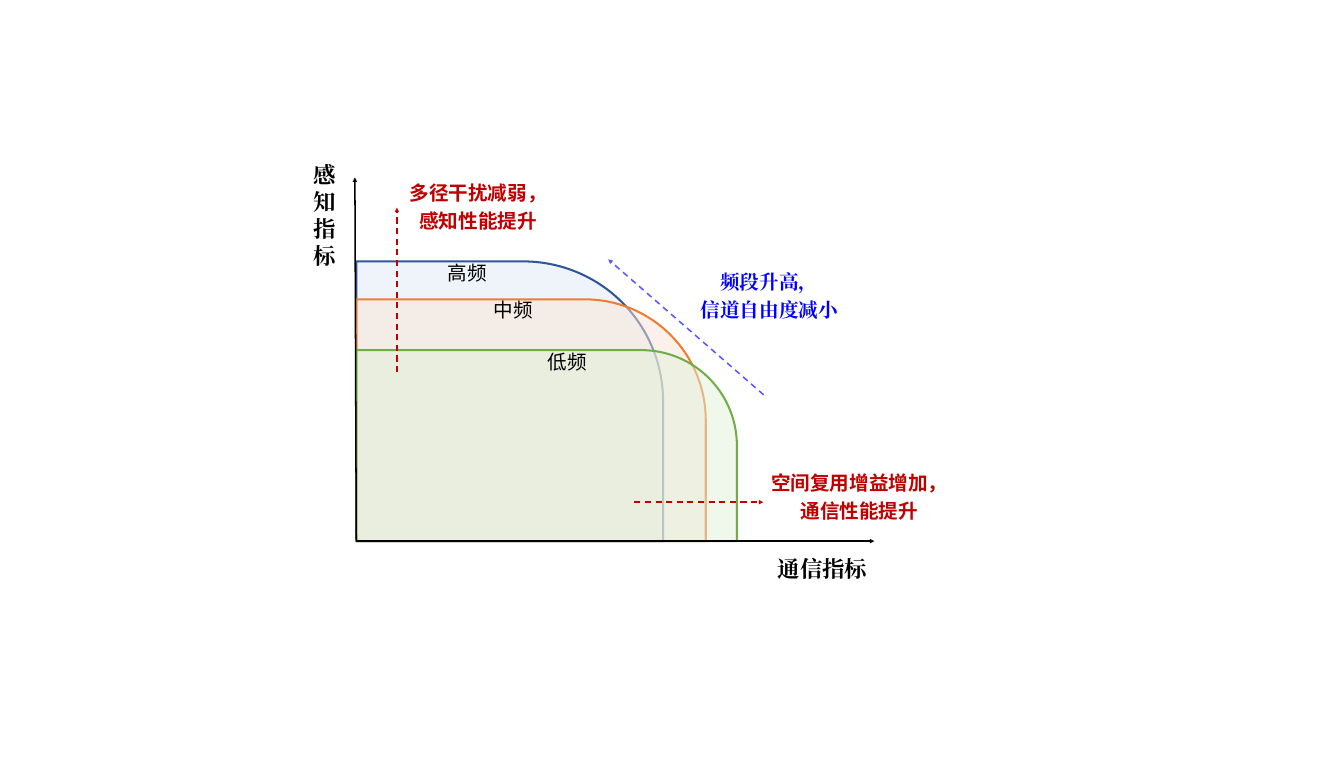
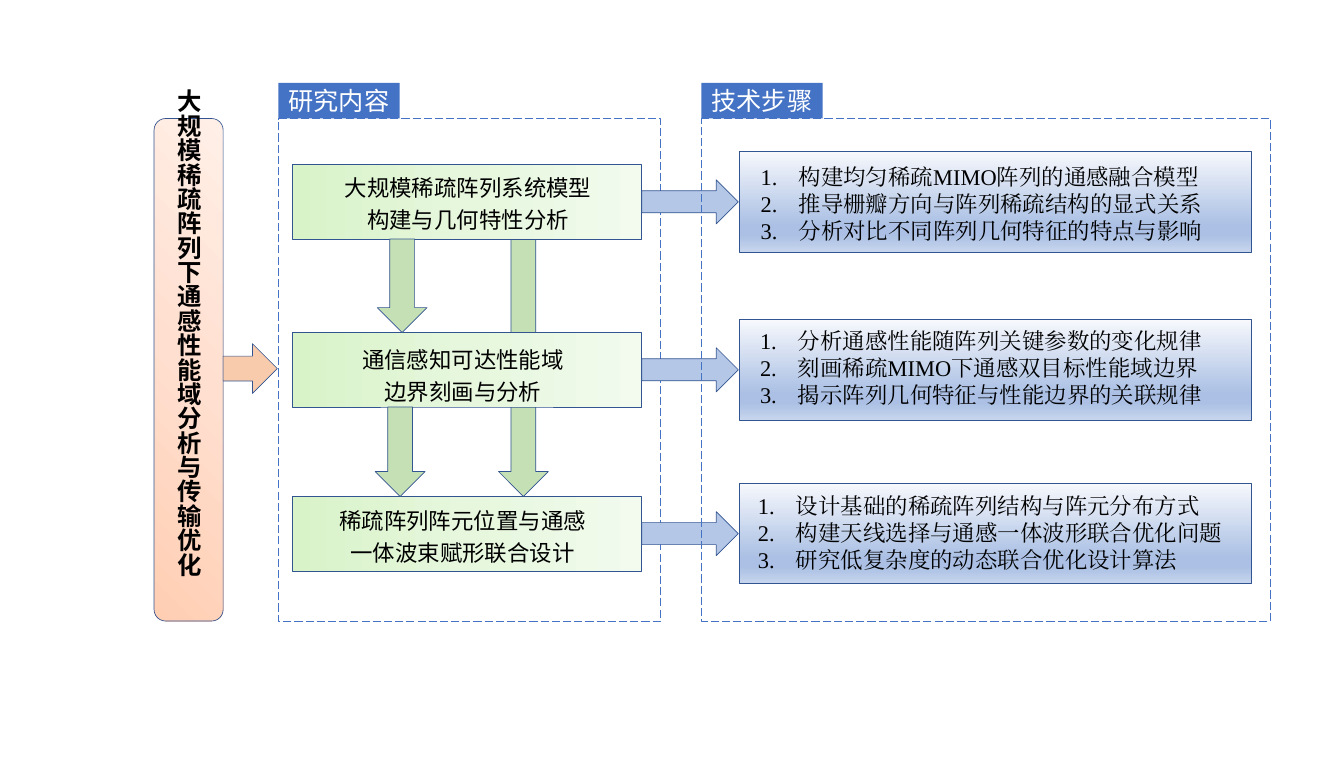
from collections import namedtuple

from lxml import etree
from pptx import Presentation
from pptx.dml.color import RGBColor
from pptx.enum.dml import MSO_LINE
from pptx.enum.shapes import MSO_CONNECTOR, MSO_SHAPE
from pptx.enum.text import MSO_ANCHOR, MSO_AUTO_SIZE, PP_ALIGN
from pptx.oxml.ns import qn
from pptx.util import Pt

Box = namedtuple("Box", "left top width height")

STRAIGHT = MSO_CONNECTOR.STRAIGHT
DASH, LONG_DASH = MSO_LINE.DASH, MSO_LINE.LONG_DASH
RECT, ROUND_RECT = MSO_SHAPE.RECTANGLE, MSO_SHAPE.ROUNDED_RECTANGLE
ONE_ROUND, PROCESS = MSO_SHAPE.ROUND_1_RECTANGLE, MSO_SHAPE.FLOWCHART_PROCESS
RIGHT_ARROW, DOWN_ARROW = MSO_SHAPE.RIGHT_ARROW, MSO_SHAPE.DOWN_ARROW
CENTER, MIDDLE, TOP = PP_ALIGN.CENTER, MSO_ANCHOR.MIDDLE, MSO_ANCHOR.TOP
GROW, FIXED = MSO_AUTO_SIZE.SHAPE_TO_FIT_TEXT, MSO_AUTO_SIZE.NONE

SANS, SERIF = "Noto Sans CJK SC", "Times New Roman"
BLACK, WHITE = RGBColor(0, 0, 0), RGBColor(255, 255, 255)
RED, BLUE = RGBColor(0xC0, 0, 0), RGBColor(0, 0, 0xFF)
LIGHT_BLUE = RGBColor(0x57, 0x57, 0xFF)
OUTLINE, ACCENT = RGBColor(0x32, 0x54, 0x91), RGBColor(0x44, 0x72, 0xC4)
PEACH, LEAF = RGBColor(0xF8, 0xCB, 0xAD), RGBColor(0xC5, 0xE0, 0xB4)
SKY = RGBColor(0xB4, 0xC7, 0xE7)
HIGH_FILL, HIGH_LINE = RGBColor(0xDE, 0xEB, 0xF7), RGBColor(0x2F, 0x55, 0x97)
MID_FILL, MID_LINE = RGBColor(0xFB, 0xE5, 0xD6), RGBColor(0xED, 0x7D, 0x31)
LOW_FILL, LOW_LINE = RGBColor(0xE2, 0xF0, 0xD9), RGBColor(0x70, 0xAD, 0x47)
TOPIC_STOPS = ((0, RGBColor(0xFF, 0xCE, 0xB3)), (50, RGBColor(0xFF, 0xDF, 0xCF)),
               (100, RGBColor(0xFF, 0xEF, 0xE7)))
CONTENT_STOPS = ((0, RGBColor(0xD9, 0xF3, 0xC9)), (50, RGBColor(0xE6, 0xF7, 0xDD)),
                 (100, RGBColor(0xF2, 0xFB, 0xEE)))
STEP_STOPS = ((0, RGBColor(0xF6, 0xF8, 0xFC)), (74, RGBColor(0xAB, 0xC0, 0xE4)),
              (83, RGBColor(0xAB, 0xC0, 0xE4)), (100, RGBColor(0xC7, 0xD5, 0xED)))

AXIS_LABEL = {"size": Pt(33.1), "name": SERIF, "bold": True}
CURVE_LABEL = {"size": Pt(28.9), "name": SANS}
NOTE = {"size": Pt(28.9), "name": SANS, "bold": True}
TREND = {"size": Pt(29), "name": SERIF, "bold": True}
TOPIC = {"size": Pt(36), "name": SANS, "bold": True}
HEADING = {"size": Pt(37.2), "name": SANS}
CONTENT = {"size": Pt(33.1), "name": SANS}
STEP = {"size": Pt(33.1), "name": SERIF}
SPACED = {"alignment": CENTER, "line_spacing": 1.2}
LIST_INDENT = 56

CURVES = (
    (453, 413, HIGH_FILL, HIGH_LINE),
    (516, 357, MID_FILL, MID_LINE),
    (562, 282, LOW_FILL, LOW_LINE),
)
PLOT_LABELS = (
    (Box(615, 554, 150, 47.5), ["通信指标"], AXIS_LABEL, BLACK, {}),
    (Box(-70, -27, 34, 168), ["感知指标"], AXIS_LABEL, BLACK, {}),
    (Box(71.5, -5, 217, 86), ["多径干扰减弱，感知性能提升"], NOTE, RED, SPACED),
    (Box(603, 422.5, 279.5, 86), ["空间复用增益增加，通信性能提升"], NOTE, RED, SPACED),
    (Box(482, 126, 256, 88), ["频段升高，", "信道自由度减小"], TREND, BLUE, SPACED),
    (Box(128, 120, 87, 42.5), ["高频"], CURVE_LABEL, BLACK, {}),
    (Box(195.5, 175, 81.5, 42.5), ["中频"], CURVE_LABEL, BLACK, {}),
    (Box(275.5, 250.5, 81.5, 42.5), ["低频"], CURVE_LABEL, BLACK, {}),
)
PLOT_ARROWS = (
    ((60, 287.5), (60, 44.5), RED),
    ((410.5, 479.5), (601, 479.5), RED),
    ((601.5, 321), (372, 121), LIGHT_BLUE),
)

ROW_CENTERS = (123, 371, 613)
CONTENT_SIZE, STEP_SIZE = (516, 110), (757, 148)
CONTENTS = (
    (1.5, -52.5, ["大规模稀疏阵列系统模型", "构建与几何特性分析"]),
    (-6, -47, ["通信感知可达性能域", "边界刻画与分析"]),
    (-6.5, -50.5, ["稀疏阵列阵元位置与通感", "一体波束赋形联合设计"]),
)
STEPS = (
    (25, -61, ["构建均匀稀疏MIMO阵列的通感融合模型", "推导栅瓣方向与阵列稀疏结构的显式关系",
               "分析对比不同阵列几何特征的特点与影响"]),
    (24, -67, ["分析通感性能随阵列关键参数的变化规律", "刻画稀疏MIMO下通感双目标性能域边界",
               "揭示阵列几何特征与性能边界的关联规律"]),
    (21, -64.5, ["设计基础的稀疏阵列结构与阵元分布方式", "构建天线选择与通感一体波形联合优化问题",
                 "研究低复杂度的动态联合优化设计算法"]),
)


def apply(target, values):
    """Set each attribute of the target from a dict."""
    for name, value in values.items():
        setattr(target, name, value)


def shift(box, area):
    """Move a box from coordinates inside an area to the page."""
    return box._replace(left=area.left + box.left, top=area.top + box.top)


def set_gradient(shape, stops, angle=None):
    """Fill a shape with a linear gradient, or a radial one from its lower left."""
    shape.fill.gradient()
    gradient = shape._element.spPr.find(qn("a:gradFill"))
    for child in list(gradient):
        gradient.remove(child)
    stop_list = etree.SubElement(gradient, qn("a:gsLst"))
    for place, color in stops:
        stop = etree.SubElement(stop_list, qn("a:gs"), pos=str(place * 1000))
        etree.SubElement(stop, qn("a:srgbClr"), val=str(color))
    if angle is None:
        radial = etree.SubElement(gradient, qn("a:path"), path="circle")
        etree.SubElement(radial, qn("a:fillToRect"), t="100000", r="100000")
    else:
        etree.SubElement(gradient, qn("a:lin"), ang=str(angle * 60000), scaled="0")


def add_shape(page, kind, box, fill=None, line=OUTLINE, width=1):
    """Add a flat preset shape."""
    shape = page.shapes.add_shape(kind, *map(Pt, box))
    shape.shadow.inherit = False
    if fill is None:
        shape.fill.background()
    else:
        shape.fill.solid()
        shape.fill.fore_color.rgb = fill
    if line is None:
        shape.line.fill.background()
    else:
        shape.line.width = Pt(width)
        shape.line.color.rgb = line
    return shape


def add_arrow(page, start, end, color, dash=None):
    """Add a straight line with an arrowhead at its end."""
    arrow = page.shapes.add_connector(STRAIGHT, *map(Pt, start + end))
    arrow.line.width = Pt(2.25)
    arrow.line.color.rgb = color
    if dash is not None:
        arrow.line.dash_style = dash
    etree.SubElement(arrow.line._get_or_add_ln(), qn("a:tailEnd"), type="triangle")
    etree.SubElement(arrow._element.spPr, qn("a:effectLst"))


def write(shape, lines, font, color, layout, anchor=TOP, size_rule=GROW):
    """Write one paragraph per line and return the paragraphs."""
    frame = shape.text_frame
    apply(frame, {"word_wrap": True, "auto_size": size_rule, "vertical_anchor": anchor})
    for index, line in enumerate(lines):
        para = frame.add_paragraph() if index else frame.paragraphs[0]
        apply(para, layout)
        span = para.add_run()
        span.text = line
        apply(span.font, font)
        span.font.color.rgb = color
        etree.SubElement(span._r.get_or_add_rPr(), qn("a:ea"), typeface=font["name"])
    return frame.paragraphs


def add_text(page, box, *text):
    """Add a text box and return its paragraphs."""
    return write(page.shapes.add_textbox(*map(Pt, box)), *text)


def draw_plot(page, area):
    """Draw the axes, the three frequency regions and their notes."""
    for width, height, fill, line in CURVES:
        box = Box(area.left, area.top + area.height - height, width, height)
        region = add_shape(page, ONE_ROUND, box, fill, line, 3)
        region.adjustments[0] = 0.5
        color = region._element.spPr.find(qn("a:solidFill"))[0]
        etree.SubElement(color, qn("a:alpha"), val="50000")
    origin = (area.left, area.top + area.height)
    add_arrow(page, origin, (area.left + area.width, origin[1]), BLACK)
    add_arrow(page, origin, (area.left - 2, area.top), BLACK)
    for start, end, color in PLOT_ARROWS:
        points = [(area.left + x, area.top + y) for x, y in (start, end)]
        add_arrow(page, *points, color, DASH)
    for box, lines, font, color, layout in PLOT_LABELS:
        add_text(page, shift(box, area), lines, font, color, layout)


def draw_topic(page, area):
    """Draw the vertical topic bar and the arrow that leaves it."""
    set_gradient(add_shape(page, ROUND_RECT, area), TOPIC_STOPS)
    label = page.shapes.add_textbox(*map(Pt, shift(Box(22.5, -50, 58, 845), area)))
    write(label, ["大规模稀疏阵列下通感性能域分析与传输优化"], TOPIC, BLACK,
          {"alignment": CENTER}, MIDDLE)
    label.text_frame._txBody.bodyPr.set("vert", "eaVert")
    add_shape(page, RIGHT_ARROW, shift(Box(area.width, 332.5, 80, 73.5), area), PEACH)


def draw_frame(page, area, heading):
    """Draw a dashed frame with a heading tab on top."""
    frame = add_shape(page, PROCESS, area, None, ACCENT, 1.5)
    frame.line.dash_style = LONG_DASH
    tab = add_shape(page, RECT, shift(Box(0, -52.5, 179, 52.5), area), ACCENT, None)
    write(tab, [heading], HEADING, WHITE, {"alignment": CENTER}, MIDDLE, FIXED)


def draw_down_arrow(page, area, left, first, last):
    """Draw an arrow from one content row down to another."""
    top = ROW_CENTERS[first] + CONTENT_SIZE[1] / 2
    bottom = ROW_CENTERS[last] - CONTENT_SIZE[1] / 2
    add_shape(page, DOWN_ARROW, shift(Box(left, top, 73.5, bottom - top), area), LEAF)


def draw_contents(page, area):
    """Draw the research contents and the arrows between them."""
    draw_down_arrow(page, area, 325, 0, 2)
    draw_frame(page, area, "研究内容")
    width, height = CONTENT_SIZE
    for center, (dx, dy, lines) in zip(ROW_CENTERS, CONTENTS):
        box = shift(Box(20.5, center - height / 2, width, height), area)
        set_gradient(add_shape(page, RECT, box), CONTENT_STOPS, 0)
        text_box = Box(box.left + 23 + dx, area.top + center + dy, width - 46, 97)
        add_text(page, text_box, lines, CONTENT, BLACK, SPACED)
        add_shape(page, RIGHT_ARROW, shift(Box(536.5, center - 32.5, 142.5, 65), area), SKY)
    draw_down_arrow(page, area, 146, 0, 1)
    draw_down_arrow(page, area, 143, 1, 2)


def draw_steps(page, area):
    """Draw the numbered technical steps of each row."""
    draw_frame(page, area, "技术步骤")
    width, height = STEP_SIZE
    for center, (dx, dy, lines) in zip(ROW_CENTERS, STEPS):
        box = shift(Box(55.5, center - height / 2, width, height), area)
        set_gradient(add_shape(page, RECT, box), STEP_STOPS, 90)
        text_box = Box(box.left + dx, area.top + center + dy, width - 30, 127.5)
        for para in add_text(page, text_box, lines, STEP, BLACK, {}):
            settings = para._p.get_or_add_pPr()
            indent = Pt(LIST_INDENT)
            settings.set("marL", str(indent))
            settings.set("indent", str(-indent))
            etree.SubElement(settings, qn("a:buFont"), typeface=SERIF)
            etree.SubElement(settings, qn("a:buAutoNum"), type="arabicPeriod")


def main():
    """Build the two slides and save the deck."""
    deck = Presentation()
    apply(deck, {"slide_width": Pt(1984.32), "slide_height": Pt(1134)})
    plot_page, flow_page = (deck.slides.add_slide(deck.slide_layouts[6]) for _ in range(2))
    draw_plot(plot_page, Box(526, 262, 765, 537))
    draw_topic(flow_page, Box(227.5, 175, 102, 742))
    draw_contents(flow_page, Box(411, 175, 564, 742))
    draw_steps(flow_page, Box(1035.5, 175, 840, 742))
    deck.save("out.pptx")


if __name__ == "__main__":
    main()
